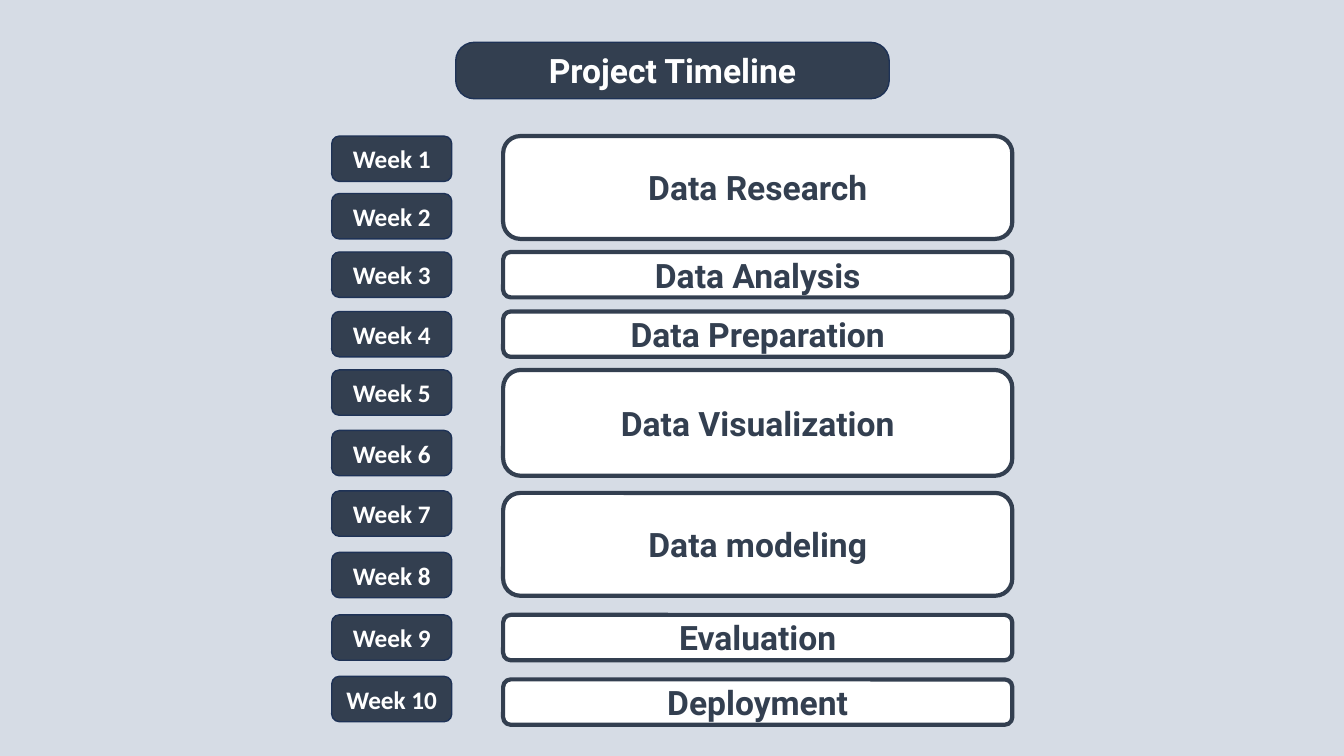
from pptx import Presentation
from pptx.dml.color import RGBColor
from pptx.enum.shapes import MSO_SHAPE as Preset
from pptx.enum.text import MSO_ANCHOR as Anchor, PP_ALIGN as Align
from pptx.util import Inches, Pt

BACKGROUND = RGBColor(0xD6, 0xDC, 0xE5)
SLATE = RGBColor(0x33, 0x3F, 0x50)
NAVY = RGBColor(0x1E, 0x32, 0x56)
WHITE = RGBColor(0xFF, 0xFF, 0xFF)

WEEK_LEFT, WEEK_WIDTH = 3.29, 1.19
PHASE_LEFT, PHASE_WIDTH = 4.99, 5.05
ROW_HEIGHT = 0.45

# Phase name, top and height of its box, tops of its weeks
PHASES = [
    ("Data Research", 1.35, 1.02, [1.35, 1.92]),
    ("Data Analysis", 2.5, ROW_HEIGHT, [2.5]),
    ("Data Preparation", 3.09, ROW_HEIGHT, [3.09]),
    ("Data Visualization", 3.67, 1.05, [3.67, 4.27]),
    ("Data modeling", 4.89, 1.02, [4.87, 5.48]),
    ("Evaluation", 6.1, ROW_HEIGHT, [6.1]),
    ("Deployment", 6.74, ROW_HEIGHT, [6.71]),
]


def add_box(shapes, text, left, top, width, height, fill, line, line_width,
            color, font_name, size):
    """Add a rounded box with one centred bold line of text."""
    shape = shapes.add_shape(Preset.ROUNDED_RECTANGLE, Inches(left), Inches(top),
                             Inches(width), Inches(height))
    shape.shadow.inherit = False
    shape.fill.solid()
    shape.fill.fore_color.rgb = fill
    shape.line.color.rgb = line
    shape.line.width = Pt(line_width)
    frame = shape.text_frame
    frame.word_wrap = True
    frame.vertical_anchor = Anchor.MIDDLE
    paragraph = frame.paragraphs[0]
    paragraph.text = text
    paragraph.alignment = Align.CENTER
    font = paragraph.font
    font.name, font.size, font.bold = font_name, Pt(size), True
    font.color.rgb = color
    return shape


def add_title(slide):
    title = add_box(slide.shapes, "Project Timeline", 4.52, 0.42, 4.3, 0.56,
                    SLATE, NAVY, 1, WHITE, "Roboto", 24)
    title.adjustments[0] = 0.33


def add_phase(slide, first_week, name, top, height, week_tops):
    """Group a phase with the weeks it covers."""
    shapes = slide.shapes.add_group_shape().shapes
    for week, week_top in enumerate(week_tops, first_week):
        add_box(shapes, f"Week {week}", WEEK_LEFT, week_top, WEEK_WIDTH, ROW_HEIGHT,
                SLATE, NAVY, 1, WHITE, "Calibri", 18)
    add_box(shapes, name, PHASE_LEFT, top, PHASE_WIDTH, height,
            WHITE, SLATE, 3, SLATE, "Roboto", 24)


def main():
    presentation = Presentation()
    presentation.slide_width = Inches(13.33)
    presentation.slide_height = Inches(7.5)
    slide = presentation.slides.add_slide(presentation.slide_layouts[6])
    slide.background.fill.solid()
    slide.background.fill.fore_color.rgb = BACKGROUND

    # Heading
    add_title(slide)

    # Timeline rows
    week = 1
    for name, top, height, week_tops in PHASES:
        add_phase(slide, week, name, top, height, week_tops)
        week += len(week_tops)

    presentation.save("out.pptx")


if __name__ == "__main__":
    main()
